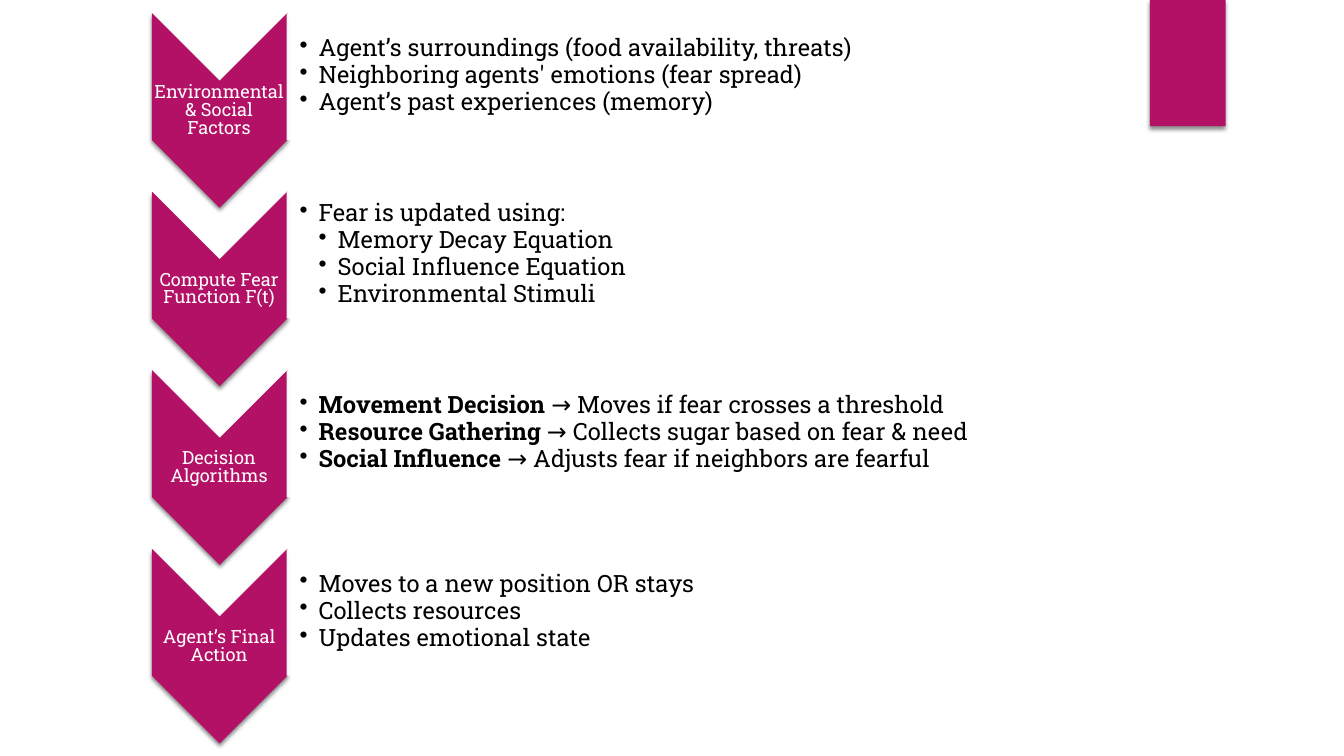
"""Build the slide showing how an agent's fear leads to its actions."""
from dataclasses import dataclass

import pptx
import pptx.dml.color
import pptx.enum.shapes
import pptx.enum.text
import pptx.oxml
import pptx.oxml.ns
import pptx.util
from pptx.util import Cm

SHAPES = pptx.enum.shapes.MSO_SHAPE
ALIGN = pptx.enum.text.PP_ALIGN


@dataclass(frozen=True)
class Theme:
    accent: str = "B31166"
    paper: str = "FFFFFF"
    ink: str = "000000"
    font: str = "Roboto Slab"
    label_size: int = 13
    detail_size: int = 17


THEME = Theme()
STAGE_STEP = 4.5
INDENT = 0.48

STAGES = [
    ("Environmental & Social Factors", [
        (1, "", "Agent’s surroundings (food availability, threats)"),
        (1, "", "Neighboring agents' emotions (fear spread)"),
        (1, "", "Agent’s past experiences (memory)"),
    ]),
    ("Compute Fear Function F(t)", [
        (1, "", "Fear is updated using:"),
        (2, "", "Memory Decay Equation"),
        (2, "", "Social Influence Equation"),
        (2, "", "Environmental Stimuli"),
    ]),
    ("Decision Algorithms", [
        (1, "Movement Decision", " → Moves if fear crosses a threshold"),
        (1, "Resource Gathering", " → Collects sugar based on fear & need"),
        (1, "Social Influence", " → Adjusts fear if neighbors are fearful"),
    ]),
    ("Agent’s Final Action", [
        (1, "", "Moves to a new position OR stays"),
        (1, "", "Collects resources"),
        (1, "", "Updates emotional state"),
    ]),
]


def rgb(value):
    return pptx.dml.color.RGBColor.from_string(value)


def add_xml(parent, xml):
    declared = xml.replace(" ", f" {pptx.oxml.ns.nsdecls('a')} ", 1)
    parent.append(pptx.oxml.parse_xml(declared))


def add_filled(shapes, kind, box, color, rotation=0):
    filled = shapes.add_shape(kind, *map(Cm, box))
    filled.rotation = rotation
    filled.shadow.inherit = False
    filled.fill.solid()
    filled.fill.fore_color.rgb = rgb(color)
    filled.line.fill.background()
    return filled


def add_accent(shapes, kind, box, rotation=0):
    accent = add_filled(shapes, kind, box, THEME.accent, rotation)
    effects = accent._element.spPr.find(pptx.oxml.ns.qn("a:effectLst"))
    add_xml(effects, '<a:outerShdw blurRad="38100" dist="25400" dir="5400000" rotWithShape="0">'
                     '<a:srgbClr val="000000"><a:alpha val="45000"/></a:srgbClr></a:outerShdw>')


def add_panel(shapes, box):
    panel = add_filled(shapes, SHAPES.ROUND_2_SAME_RECTANGLE, box, THEME.paper, 90)
    paper = panel._element.spPr.find(".//" + pptx.oxml.ns.qn("a:srgbClr"))
    add_xml(paper, '<a:alpha val="90000"/>')


def add_text_frame(shapes, box, left_inset):
    frame = shapes.add_textbox(*map(Cm, box)).text_frame
    frame.word_wrap = True
    frame.vertical_anchor = pptx.enum.text.MSO_ANCHOR.MIDDLE
    frame.margin_left = Cm(left_inset)
    frame.margin_top = frame.margin_right = frame.margin_bottom = Cm(0.03)
    return frame


def set_font(paragraph, size, color):
    paragraph.font.name = THEME.font
    paragraph.font.size = pptx.util.Pt(size)
    paragraph.font.color.rgb = rgb(color)


def add_label(shapes, box, label):
    paragraph = add_text_frame(shapes, box, 0.03).paragraphs[0]
    paragraph.text = label
    paragraph.alignment = ALIGN.CENTER
    paragraph.line_spacing = 0.82
    set_font(paragraph, THEME.label_size, THEME.paper)


def add_details(shapes, box, details):
    frame = add_text_frame(shapes, box, 0.33)
    for index, (level, term, wording) in enumerate(details):
        paragraph = frame.add_paragraph() if index else frame.paragraphs[0]
        paragraph.level = level
        paragraph.line_spacing = 0.9
        paragraph.space_after = pptx.util.Pt(1)
        properties = paragraph._p.get_or_add_pPr()
        properties.set("marL", str(Cm(INDENT * level)))
        properties.set("indent", str(-Cm(INDENT)))
        add_xml(properties, '<a:buChar char="•"/>')
        set_font(paragraph, THEME.detail_size, THEME.ink)
        if term:
            bold_term = paragraph.add_run()
            bold_term.text = term
            bold_term.font.bold = True
        paragraph.add_run().text = wording


def add_stage(shapes, offset, label, details):
    add_accent(shapes, SHAPES.CHEVRON, (3.08, 1.07 + offset, 4.91, 3.42), 90)
    add_label(shapes, (3.81, 2.06 + offset, 3.42, 1.48), label)
    add_panel(shapes, (16.33, -8.76 + offset, 3.18, 21.39))
    add_details(shapes, (7.22, 0.48 + offset, 21.24, 2.87), details)


def main():
    deck = pptx.Presentation()
    deck.slide_width, deck.slide_height = Cm(33.87), Cm(19.05)
    slide = deck.slides.add_slide(deck.slide_layouts[6])
    add_accent(slide.shapes, SHAPES.RECTANGLE, (28.98, 0, 1.91, 3.18))
    process = slide.shapes.add_group_shape()
    for index, (label, details) in enumerate(STAGES):
        add_stage(process.shapes, index * STAGE_STEP, label, details)
    deck.save("out.pptx")


if __name__ == "__main__":
    main()
